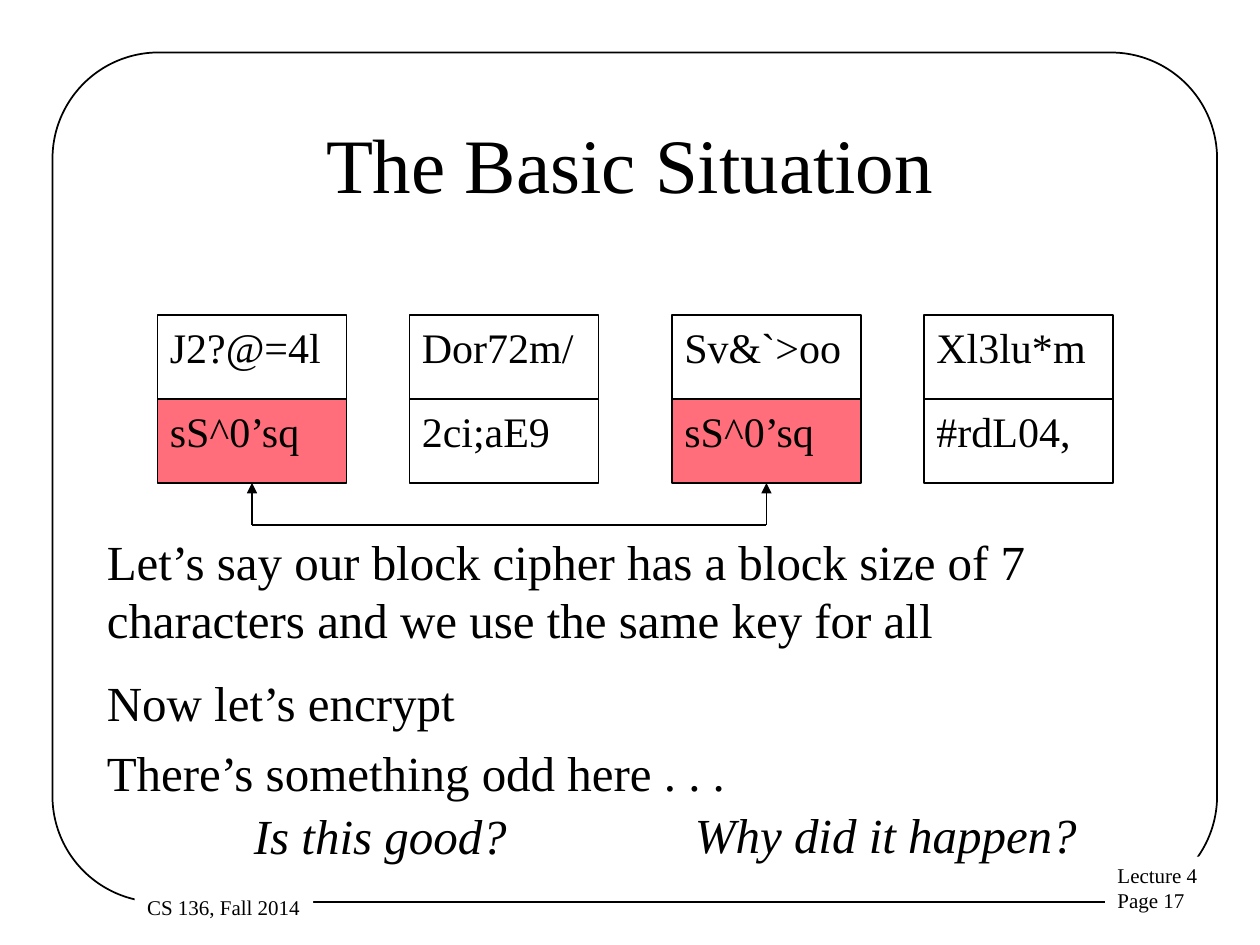
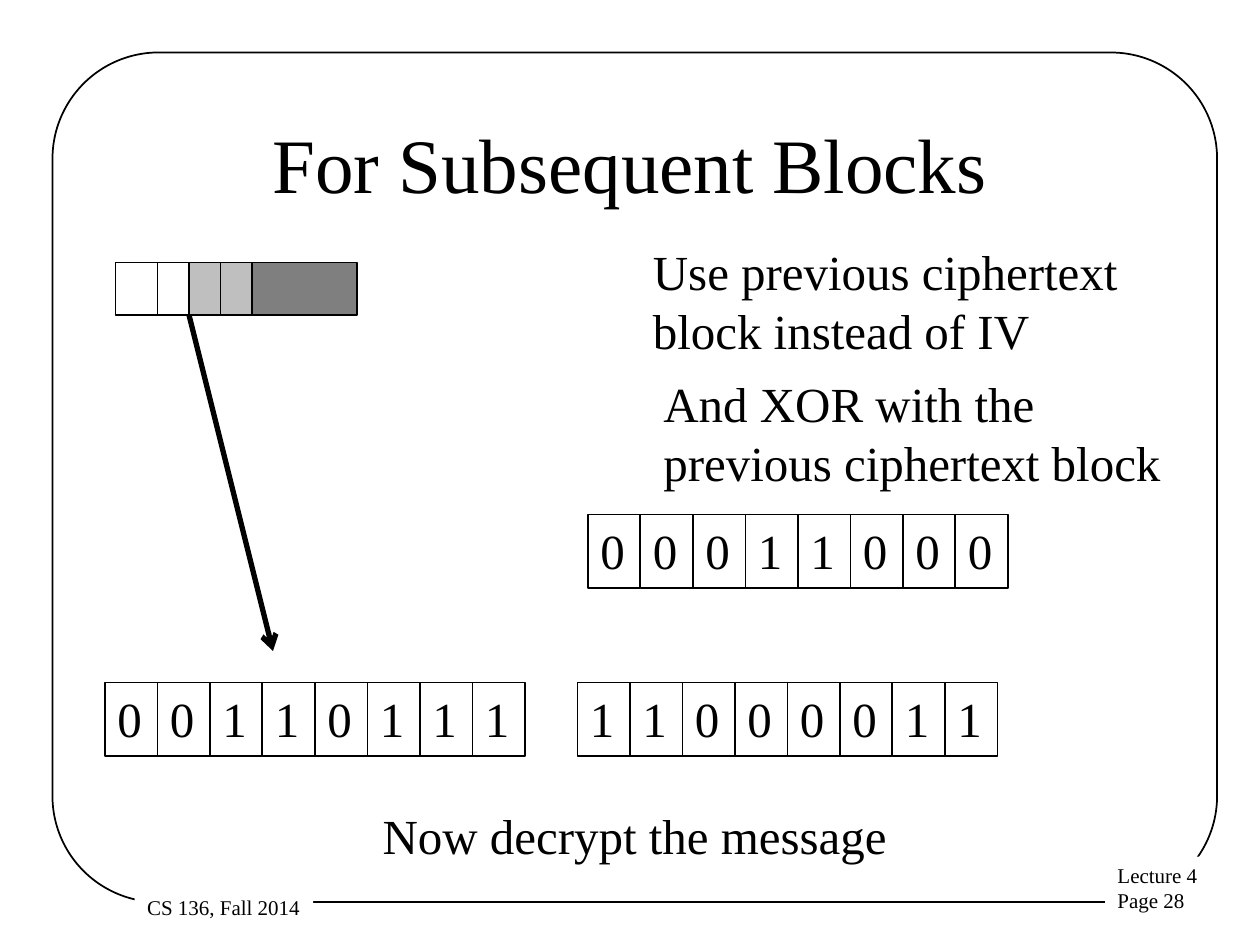
from pptx import Presentation
from pptx.dml.color import RGBColor
from pptx.enum.shapes import MSO_CONNECTOR, MSO_SHAPE
from pptx.enum.text import MSO_ANCHOR, PP_ALIGN
from pptx.oxml.ns import qn
from pptx.util import Pt
from lxml import etree

RECT, ROUND_RECT = MSO_SHAPE.RECTANGLE, MSO_SHAPE.ROUNDED_RECTANGLE
STRAIGHT = MSO_CONNECTOR.STRAIGHT
TOP, MIDDLE = MSO_ANCHOR.TOP, MSO_ANCHOR.MIDDLE
LEFT, CENTER = PP_ALIGN.LEFT, PP_ALIGN.CENTER
FONT = "Times New Roman"
BLACK, WHITE, RED = "000000", "FFFFFF", "FF6E7A"
DARK_GREY, LIGHT_GREY = "7F7F7F", "BFBFBF"


def rgb(color):
    return RGBColor.from_string(color)


class Deck:
    """Lecture slides with a rounded frame, a centred title and footers."""

    def __init__(self, prs):
        self.prs = prs
        self.s = None

    def slide(self, title, page):
        self.s = self.prs.slides.add_slide(self.prs.slide_layouts[6])
        frame = self.shape(30, 30, 665.5, 485.5, None, BLACK, ROUND_RECT)
        frame.adjustments[0] = 0.125
        corner = self.shape(631.5, 489.5, 88, 36.5, WHITE)
        self.label(corner, f"Lecture 4\nPage {page}", 12)
        course = self.shape(77, 507.5, 102, 22, WHITE)
        self.label(course, "CS 136, Fall 2014", 12)
        self.text(54, 48, 612, 90, title, 44, align=CENTER, anchor=MIDDLE)

    def label(self, sp, text, size, italic=False, align=LEFT, anchor=TOP):
        tf = sp.text_frame
        tf.word_wrap = True
        tf.vertical_anchor = anchor
        tf.text = text
        for p in tf.paragraphs:
            p.alignment = align
            for r in p.runs:
                r.font.name, r.font.size = FONT, Pt(size)
                r.font.italic = italic
                r.font.color.rgb = rgb(BLACK)

    def text(self, x, y, w, h, text, size=28, **style):
        sp = self.s.shapes.add_textbox(Pt(x), Pt(y), Pt(w), Pt(h))
        self.label(sp, text, size, **style)

    def shape(self, x, y, w, h, fill=None, line=None, kind=RECT):
        sp = self.s.shapes.add_shape(kind, Pt(x), Pt(y), Pt(w), Pt(h))
        sp.shadow.inherit = False
        if fill:
            sp.fill.solid()
            sp.fill.fore_color.rgb = rgb(fill)
        else:
            sp.fill.background()
        if line:
            sp.line.color.rgb = rgb(line)
            sp.line.width = Pt(1)
        else:
            sp.line.fill.background()
        return sp

    def cell(self, x, y, w, h, text, size, fill=WHITE):
        self.label(self.shape(x, y, w, h, fill, BLACK), text, size)

    def bits(self, x, y, digits):
        for i, digit in enumerate(digits):
            self.cell(x + 30 * i, y, 30, 42, digit, 28)

    def line(self, x1, y1, x2, y2, width=1, head=None):
        c = self.s.shapes.add_connector(STRAIGHT, Pt(x1), Pt(y1), Pt(x2), Pt(y2))
        c.line.color.rgb = rgb(BLACK)
        c.line.width = Pt(width)
        props = c.element.spPr
        if head:
            etree.SubElement(props.find(qn("a:ln")), qn("a:tailEnd"), type=head)
        etree.SubElement(props, qn("a:effectLst"))


def basic_situation(deck):
    deck.slide("The Basic Situation", 17)
    deck.text(54, 300, 570, 75, "Let’s say our block cipher has a block size of 7 "
              "characters and we use the same key for all")
    deck.text(54, 381, 396, 41, "Now let’s encrypt")
    deck.text(54, 420.5, 396, 41, "There’s something odd here . . .")
    records = [
        (90, "J2?@=4l", "sS^0’sq", RED),
        (234, "Dor72m/", "2ci;aE9", WHITE),
        (384, "Sv&`>oo", "sS^0’sq", RED),
        (528, "Xl3lu*m", "#rdL04,", WHITE),
    ]
    for x, first, second, fill in records:
        deck.cell(x, 180, 108, 48, first, 24)
        deck.cell(x, 228, 108, 48, second, 24, fill)
    deck.text(138, 456.5, 198, 41, "Is this good?", italic=True)
    deck.text(390, 456, 240, 41, "Why did it happen?", italic=True)
    deck.line(144, 300, 438, 300)
    for x in (144, 438):
        deck.line(x, 300, x, 276, head="triangle")


def subsequent_blocks(deck):
    deck.slide("For Subsequent Blocks", 28)
    x = 66
    message = [(24, WHITE), (18, WHITE), (18, LIGHT_GREY), (18, LIGHT_GREY), (60, DARK_GREY)]
    for width, fill in message:
        deck.shape(x, 150, width, 30, fill, BLACK)
        x += width
    deck.line(108, 180, 156, 372, 3, "arrow")
    deck.text(366, 134.5, 324, 75, "Use previous ciphertext block instead of IV")
    deck.text(372, 210, 300, 75, "And XOR with the previous ciphertext block")
    deck.text(211.5, 456.5, 306, 41, "Now decrypt the message")
    deck.bits(336, 294, "00011000")
    deck.bits(60, 390, "00110111")
    deck.bits(330, 390, "11000011")


def main():
    prs = Presentation()
    prs.slide_width, prs.slide_height = Pt(720), Pt(540)
    deck = Deck(prs)
    basic_situation(deck)
    subsequent_blocks(deck)
    prs.save("out.pptx")


if __name__ == "__main__":
    main()
